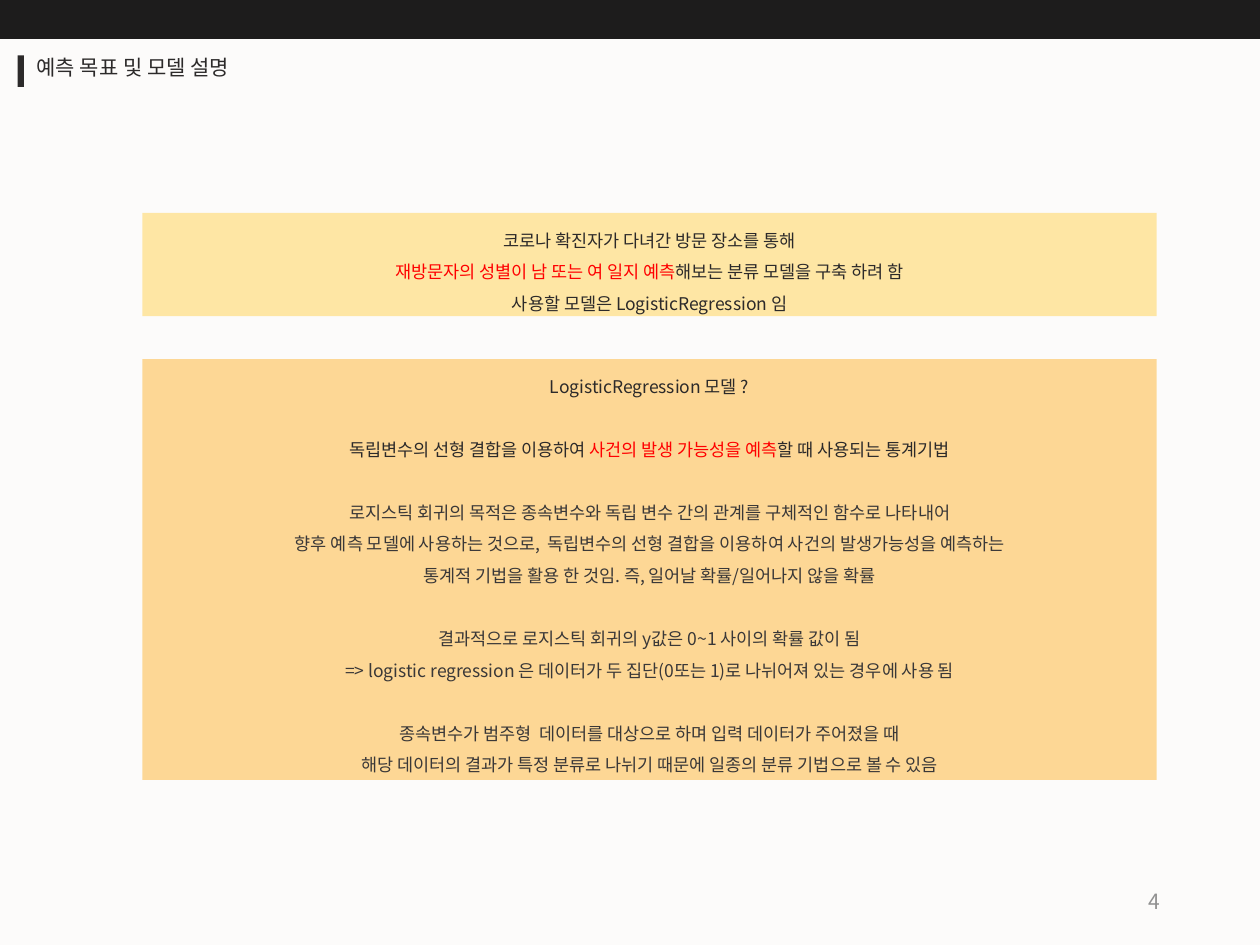
from lxml import etree
from pptx import Presentation
from pptx.dml.color import RGBColor
from pptx.enum.shapes import MSO_SHAPE
from pptx.enum.text import MSO_ANCHOR, MSO_AUTO_SIZE, PP_ALIGN
from pptx.oxml.ns import qn
from pptx.util import Inches, Pt

RECT = MSO_SHAPE.RECTANGLE
TOP, MIDDLE = MSO_ANCHOR.TOP, MSO_ANCHOR.MIDDLE
LEFT, CENTER, RIGHT = PP_ALIGN.LEFT, PP_ALIGN.CENTER, PP_ALIGN.RIGHT
NO_FIT = MSO_AUTO_SIZE.NONE

INK, SOFT_INK, RED, GREY = "2C2A2A", "3A3838", "FF0000", "919191"
BOX_LEFT, BOX_WIDTH = 11.3, 80.5

GOAL = [
    (INK, ["코로나 확진자가 다녀간 방문 장소를 통해",
           "|재방문자의 성별이 남 또는 여 일지 예측|해보는 분류 모델을 구축 하려 함",
           "사용할 모델은 LogisticRegression 임"]),
]
MODEL = [
    (INK, ["LogisticRegression 모델 ?"]),
    (INK, ["독립변수의 선형 결합을 이용하여 |사건의 발생 가능성을 예측|할 때 사용되는 통계기법"]),
    (SOFT_INK, ["로지스틱 회귀의 목적은 종속변수와 독립 변수 간의 관계를 구체적인 함수로 나타내어",
                "향후 예측 모델에 사용하는 것으로,  독립변수의 선형 결합을 이용하여 사건의 발생가능성을 예측하는",
                "통계적 기법을 활용 한 것임. 즉, 일어날 확률/일어나지 않을 확률"]),
    (SOFT_INK, ["결과적으로 로지스틱 회귀의 y값은 0~1 사이의 확률 값이 됨",
                "=> logistic regression 은 데이터가 두 집단(0또는 1)로 나뉘어져 있는 경우에 사용 됨"]),
    (SOFT_INK, ["종속변수가 범주형  데이터를 대상으로 하며 입력 데이터가 주어졌을 때",
                "해당 데이터의 결과가 특정 분류로 나뉘기 때문에 일종의 분류 기법으로 볼 수 있음"]),
]


def rgb(value):
    return RGBColor.from_string(value)


class Deck:
    """Style and current slide; positions are percentages of the slide size."""
    font = "Noto Sans CJK KR"

    def __init__(self, background):
        self.prs = Presentation()
        self.prs.slide_width, self.prs.slide_height = Inches(10), Inches(7.5)
        self.s = self.prs.slides.add_slide(self.prs.slide_layouts[5])
        self.s.background.fill.solid()
        self.s.background.fill.fore_color.rgb = rgb(background)

    def area(self, x, y, w, h):
        width, height = self.prs.slide_width, self.prs.slide_height
        return [int(share * side / 100) for share, side in
                ((x, width), (y, height), (w, width), (h, height))]

    def style(self, r, size, color):
        r.font.size, r.font.name = Pt(size), self.font
        r.font.color.rgb = rgb(color)
        latin = r.font._element.find(qn("a:latin"))
        east_asian = etree.Element(qn("a:ea"), typeface=self.font)
        latin.addnext(east_asian)

    def line(self, sp, text, color, align, anchor):
        tf = sp.text_frame
        tf.text = text
        tf.word_wrap, tf.auto_size, tf.vertical_anchor = True, NO_FIT, anchor
        p = tf.paragraphs[0]
        p.alignment = align
        self.style(p.runs[0], 12, color)

    def title(self, text, *area):
        sp = self.s.shapes.title
        sp.left, sp.top, sp.width, sp.height = self.area(*area)
        self.line(sp, text, INK, LEFT, TOP)

    def page_number(self, text, *area):
        sp = self.s.shapes.add_textbox(*self.area(*area))
        self.line(sp, text, GREY, RIGHT, MIDDLE)

    def rect(self, fill, *area, opacity=100):
        sp = self.s.shapes.add_shape(RECT, *self.area(*area))
        sp.shadow.inherit = False
        sp.line.fill.background()
        sp.fill.solid()
        sp.fill.fore_color.rgb = rgb(fill)
        if opacity < 100:
            color = sp._element.spPr.find(qn("a:solidFill"))[0]
            etree.SubElement(color, qn("a:alpha"), val=str(opacity * 1000))
        return sp

    def text_box(self, groups, fill, top, height, opacity=100):
        """Centred groups of lines, a line apart; text between bars is red."""
        sp = self.rect(fill, BOX_LEFT, top, BOX_WIDTH, height, opacity=opacity)
        tf = sp.text_frame
        tf.word_wrap, tf.vertical_anchor = True, TOP
        p = None
        for color, lines in groups:
            for i, text in enumerate(lines):
                gap = p is not None and i == 0
                p = tf.add_paragraph() if p is not None else tf.paragraphs[0]
                p.alignment, p.line_spacing = CENTER, 1.5
                if gap:
                    p.space_before = Pt(18)
                for n, part in enumerate(text.split("|")):
                    if part:
                        r = p.add_run()
                        r.text = part
                        self.style(r, 10, RED if n % 2 else color)


def main():
    deck = Deck("FCFBFA")
    deck.rect("1D1C1C", 0, 0, 100, 4.13)
    deck.title("예측 목표 및 모델 설명", 1.9, 5.07, 52.5, 4)
    deck.rect(INK, 1.4, 5.87, 0.5, 3.33)
    deck.page_number("4", 70.6, 92.67, 22.5, 5.33)
    deck.text_box(GOAL, "FEE6A4", 22.53, 10.93)
    deck.text_box(MODEL, "FEC45C", 38, 44.53, opacity=64)
    deck.prs.save("out.pptx")


if __name__ == "__main__":
    main()
